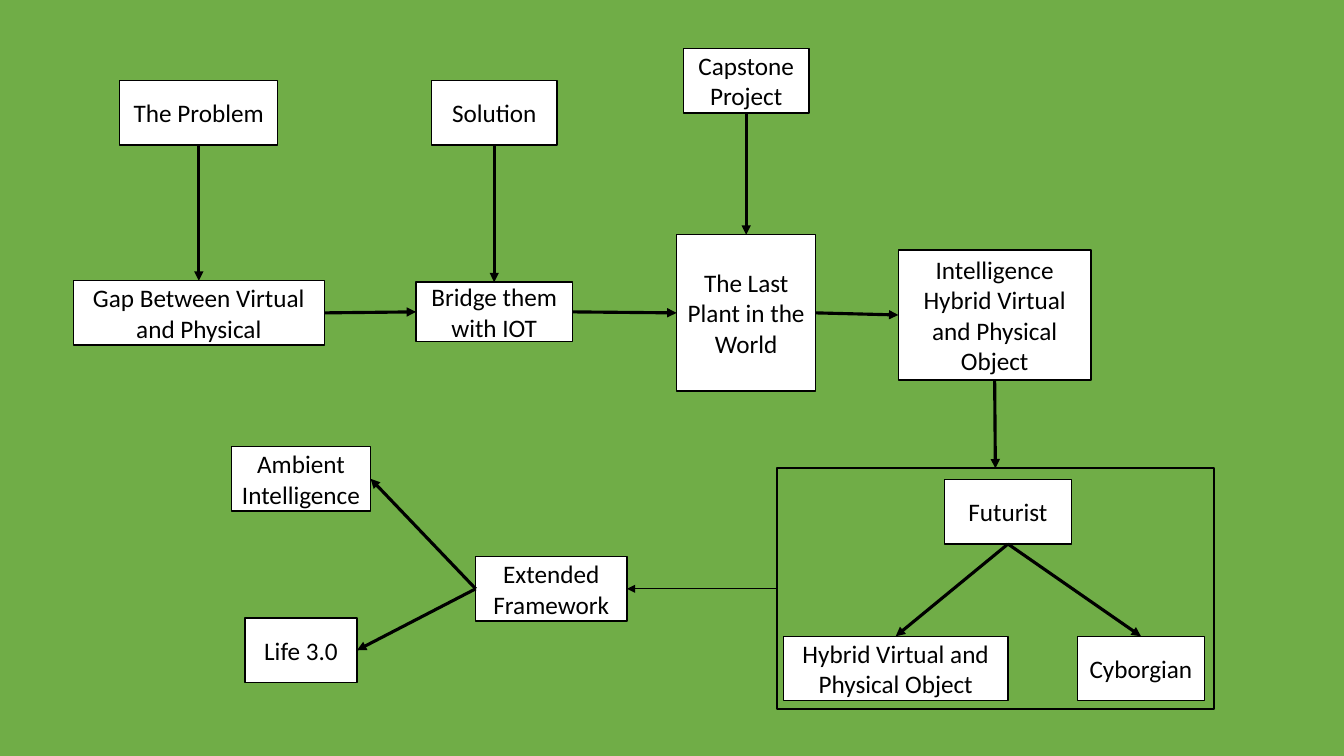
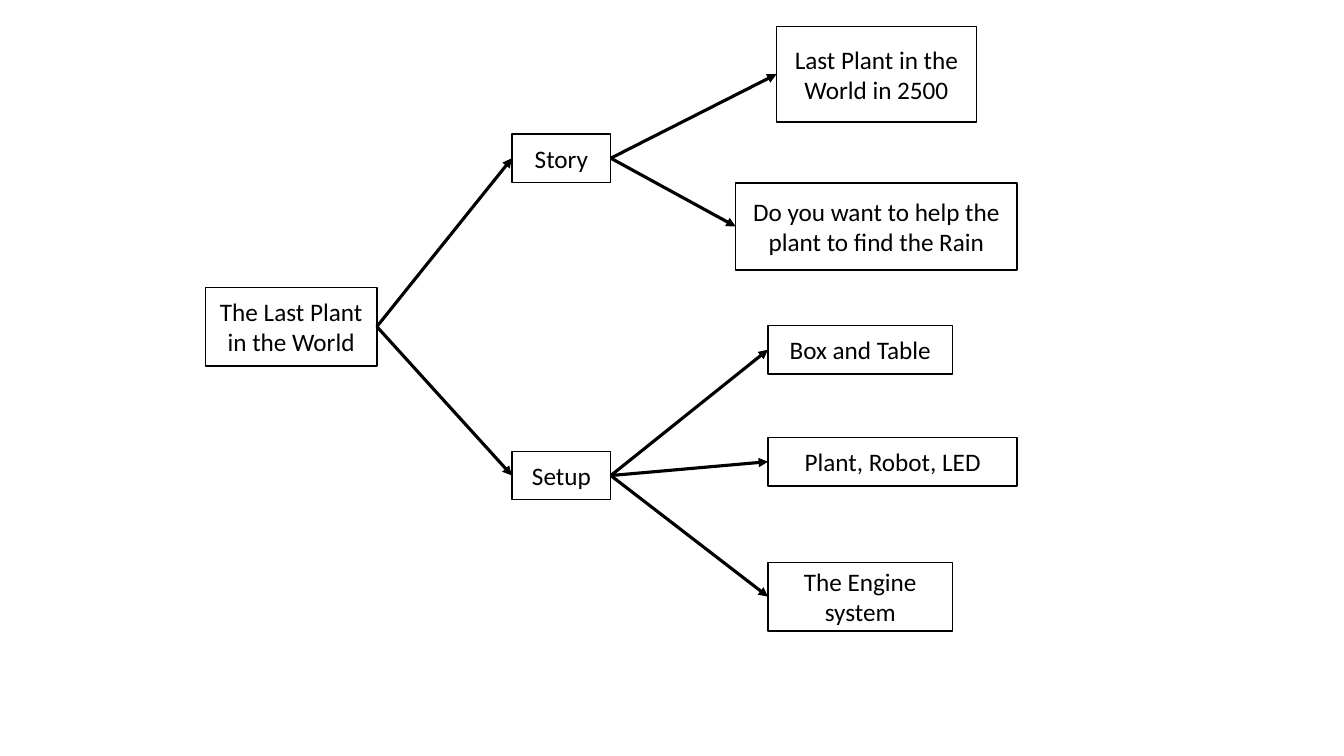
import dataclasses

import lxml.etree
import pptx
import pptx.dml.color
import pptx.enum.shapes
import pptx.enum.text
import pptx.oxml.ns
import pptx.util

Pt = pptx.util.Pt
RGB = pptx.dml.color.RGBColor
MSO_SHAPE = pptx.enum.shapes.MSO_SHAPE
qn = pptx.oxml.ns.qn

TOP, LEFT, BOTTOM, RIGHT = range(4)
W, H = 960, 540


@dataclasses.dataclass(frozen=True)
class Theme:
    ink: RGB = RGB(0x00, 0x00, 0x00)
    paper: RGB = RGB(0xFF, 0xFF, 0xFF)
    green: RGB = RGB(0x70, 0xAD, 0x47)
    font: str = "Calibri"
    size: float = 18
    box_line: float = 1
    frame_line: float = 1.5
    arrow_line: float = 2.25
    thin_line: float = 0.5


class Diagram:
    """Draws boxes and arrows in one style on the current slide."""

    def __init__(self, prs, theme):
        self.prs, self.theme = prs, theme
        self.slide = None
        self.text_format = {"name": theme.font, "size": Pt(theme.size)}
        self.frame_format = {
            "word_wrap": True,
            "vertical_anchor": pptx.enum.text.MSO_ANCHOR.MIDDLE,
        }

    def new_slide(self):
        self.slide = self.prs.slides.add_slide(self.prs.slide_layouts[6])

    def rect(self, cx, cy, w, h, fill=None, line=None):
        sp = self.slide.shapes.add_shape(
            MSO_SHAPE.RECTANGLE, Pt(cx - w / 2), Pt(cy - h / 2), Pt(w), Pt(h))
        sp.shadow.inherit = False
        if fill is None:
            sp.fill.background()
        else:
            sp.fill.solid()
            sp.fill.fore_color.rgb = fill
        if line is None:
            sp.line.fill.background()
        else:
            sp.line.color.rgb = self.theme.ink
            sp.line.width = Pt(line)
        return sp

    def box(self, text, cx, cy, w, h):
        sp = self.rect(cx, cy, w, h, self.theme.paper, self.theme.box_line)
        tf = sp.text_frame
        for name, value in self.frame_format.items():
            setattr(tf, name, value)
        tf.text = text
        for p in tf.paragraphs:
            p.alignment = pptx.enum.text.PP_ALIGN.CENTER
            for r in p.runs:
                for name, value in self.text_format.items():
                    setattr(r.font, name, value)
                r.font.color.rgb = self.theme.ink
        return sp

    def arrow(self, start, start_side, end, end_side, width=None):
        cxn = self.slide.shapes.add_connector(
            pptx.enum.shapes.MSO_CONNECTOR.STRAIGHT, 0, 0, 0, 0)
        cxn.begin_connect(start, start_side)
        cxn.end_connect(end, end_side)
        cxn.line.color.rgb = self.theme.ink
        cxn.line.width = Pt(width or self.theme.arrow_line)
        ln = cxn.line._get_or_add_ln()
        lxml.etree.SubElement(ln, qn("a:tailEnd"), type="triangle")
        lxml.etree.SubElement(ln.getparent(), qn("a:effectLst"))


def framework_slide(d):
    d.new_slide()
    d.rect(W / 2, H / 2, W, H, fill=d.theme.green)
    col_problem, col_solution, col_project, col_object = 142, 353, 533, 710.5
    row_head, row_main, row_end, h = 80.6, 223.5, 477.5, 46

    problem = d.box("The Problem", col_problem, row_head, 113, h)
    solution = d.box("Solution", col_solution, row_head, 90, h)
    capstone = d.box("Capstone\nProject", col_project, 57.6, 90, h)
    gap = d.box("Gap Between Virtual and Physical", col_problem, row_main, 179.3, h)
    bridge = d.box("Bridge them with IOT", col_solution, 222.8, 111.6, 42.5)
    plant = d.box("The Last Plant in the World", col_project, row_main, 99.4, 111.6)
    intelligence = d.box("Intelligence\nHybrid Virtual and Physical Object",
                         col_object, 225, 137.6, 93)
    ambient = d.box("Ambient Intelligence", 215, 342, 99.4, h)
    life = d.box("Life 3.0", 215, 464.5, 80, h)
    extended = d.box("Extended Framework", 393.8, 420.6, 108, h)
    futurist = d.box("Futurist", 720, 365.6, 90.7, h)
    hybrid = d.box("Hybrid Virtual and Physical Object", 639.8, row_end, 160.6, h)
    cyborgian = d.box("Cyborgian", 815, row_end, 90.7, h)
    frame = d.rect(col_object + 0.5, 420.6, 311.8, 172, line=d.theme.frame_line)

    for head, main in ((problem, gap), (solution, bridge), (capstone, plant),
                       (intelligence, frame), (futurist, hybrid),
                       (futurist, cyborgian)):
        d.arrow(head, BOTTOM, main, TOP)
    for start, end in ((gap, bridge), (bridge, plant), (plant, intelligence)):
        d.arrow(start, RIGHT, end, LEFT)
    for end in (ambient, life):
        d.arrow(extended, LEFT, end, RIGHT)
    d.arrow(frame, LEFT, extended, RIGHT, d.theme.thin_line)


def project_slide(d):
    d.new_slide()
    col_branch, col_story, col_setup, h = 401, 626, 614.5, 34.6
    root = d.box("The Last Plant in the World", 208, 233.3, 122.4, 56.2)
    branches = (
        (("Story", col_branch, 113, 70.6, h),
         (("Last Plant in the World in 2500", col_story, 53, 142.6, 68.4),
          ("Do you want to help the plant to find the Rain",
           col_story, 161.8, 201, 62))),
        (("Setup", col_branch, 339.7, 70.6, h),
         (("Box and Table", col_setup, 249.8, 131.8, h),
          ("Plant, Robot, LED", 637.6, 329.8, 178, h),
          ("The Engine system", col_setup, 426.2, 131.8, 49))),
    )
    for branch, leaves in branches:
        parent = d.box(*branch)
        d.arrow(root, RIGHT, parent, LEFT)
        for leaf in leaves:
            d.arrow(parent, RIGHT, d.box(*leaf), LEFT)


def main():
    prs = pptx.Presentation()
    prs.slide_width, prs.slide_height = Pt(W), Pt(H)
    d = Diagram(prs, Theme())
    framework_slide(d)
    project_slide(d)
    prs.save("out.pptx")


if __name__ == "__main__":
    main()
